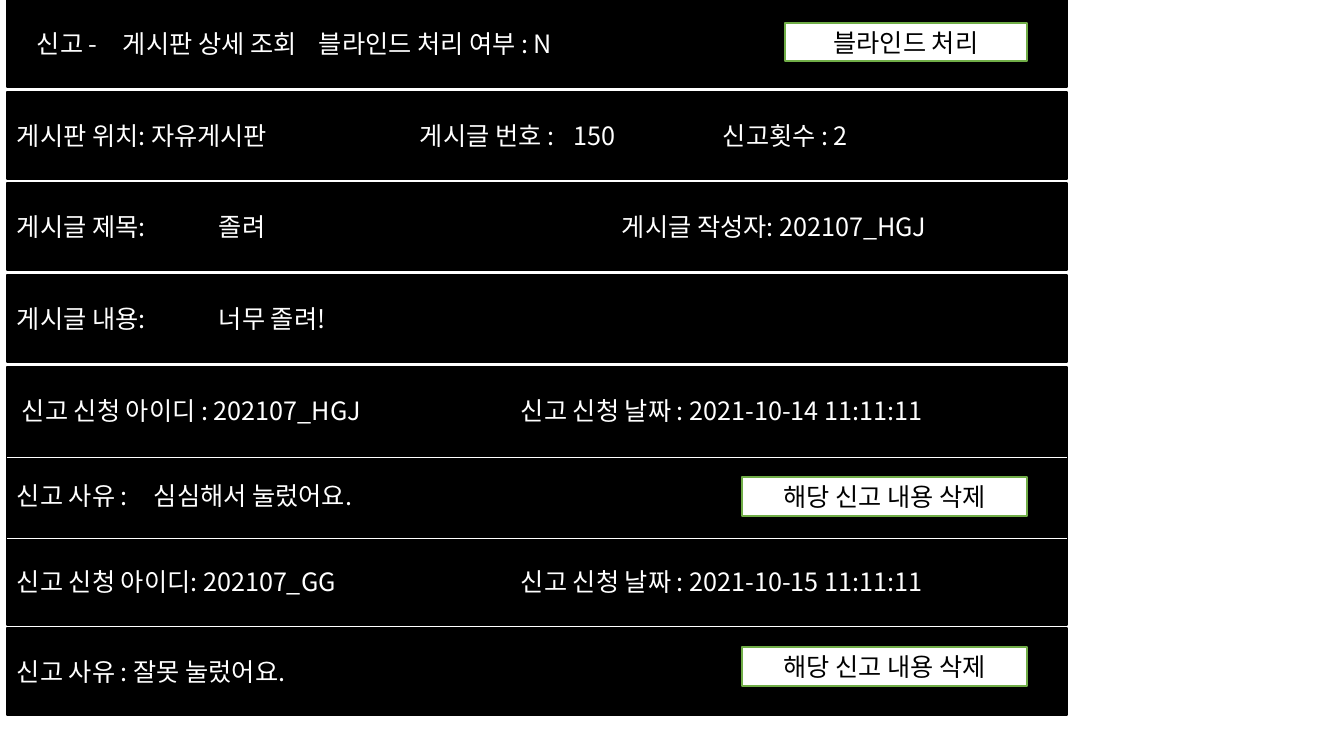
from pptx import Presentation
from pptx.util import Pt
from pptx.dml.color import RGBColor as Rgb
from pptx.enum.shapes import MSO_SHAPE as Kind, MSO_CONNECTOR as Wire
from pptx.enum.text import PP_ALIGN as Align, MSO_ANCHOR as Anchor
from pptx.oxml.ns import qn
from lxml.etree import SubElement as Sub

SCALE = 914400 / 100.8
HUES = {"bar": "000000", "paper": "FFFFFF", "edge": "70AD47"}
LEFT, WIDE, TALL, PAD = 7, 1060, 87, 10


def emu(size):
    return round(size * SCALE)


def hue(name):
    return Rgb.from_string(HUES[name])


class Board:
    font = "Noto Sans CJK KR"
    size = Pt(18)

    def __init__(self, slide):
        self.slide = slide

    def box(self, area, text, fill, line, ink, align):
        shape = self.slide.shapes.add_shape(Kind.RECTANGLE, *map(emu, area))
        shape.shadow.inherit = False
        shape.fill.solid()
        shape.fill.fore_color.rgb = hue(fill)
        shape.line.color.rgb = hue(line)
        shape.line.width = Pt(1)
        frame = shape.text_frame
        frame.text = text
        frame.word_wrap = True
        frame.vertical_anchor = Anchor.MIDDLE
        para = frame.paragraphs[0]
        para.alignment = align
        for run in para.runs:
            run.font.size = self.size
            run.font.name = self.font
            run.font.color.rgb = hue(ink)
            Sub(run.font._element, qn("a:ea"), typeface=self.font)
        return frame

    def row(self, top, text, stops=(), start=LEFT + PAD):
        frame = self.box((LEFT, top, WIDE, TALL), text, "bar", "bar", "paper", Align.LEFT)
        frame.margin_left = emu(start - LEFT)
        if stops:
            props = frame.paragraphs[0]._p.get_or_add_pPr()
            tabs = Sub(props, qn("a:tabLst"))
            for stop in stops:
                Sub(tabs, qn("a:tab"), pos=str(emu(stop - start)), algn="l")

    def button(self, left, top, wide, tall, text):
        self.box((left, top, wide, tall), text, "paper", "edge", "bar", Align.CENTER)

    def rule(self, top):
        ends = map(emu, (LEFT, top, LEFT + WIDE, top))
        line = self.slide.shapes.add_connector(Wire.STRAIGHT, *ends)
        line.line.color.rgb = hue("paper")
        line.line.width = Pt(0.5)
        Sub(line._element.spPr, qn("a:effectLst"))


deck = Presentation()
deck.slide_width, deck.slide_height = emu(1344), emu(756)
board = Board(deck.slides.add_slide(deck.slide_layouts[6]))

ROWS = [
    (0, "신고 -\t게시판 상세 조회\t블라인드 처리 여부 : N", (123, 319), 37),
    (92, "게시판 위치: 자유게시판\t게시글 번호 :\t150\t신고횟수 : 2", (420, 574, 723)),
    (183, "게시글 제목:\t졸려\t게시글 작성자: 202107_HGJ", (219, 622)),
    (275, "게시글 내용:\t너무 졸려!", (219,)),
    (367, "신고 신청 아이디 : 202107_HGJ\t신고 신청 날짜 : 2021-10-14 11:11:11", (521,), 22),
    (452, "신고 사유 :\t심심해서 눌렀어요.", (154,)),
    (538, "신고 신청 아이디: 202107_GG\t신고 신청 날짜 : 2021-10-15 11:11:11", (521,)),
    (628, "신고 사유 : 잘못 눌렀어요."),
]
for row in ROWS:
    board.row(*row)

for top in (457, 538):
    board.rule(top)

board.button(785, 23, 242, 38, "블라인드 처리")
for top in (477, 647):
    board.button(742, top, 285, 39, "해당 신고 내용 삭제")

deck.save("out.pptx")
